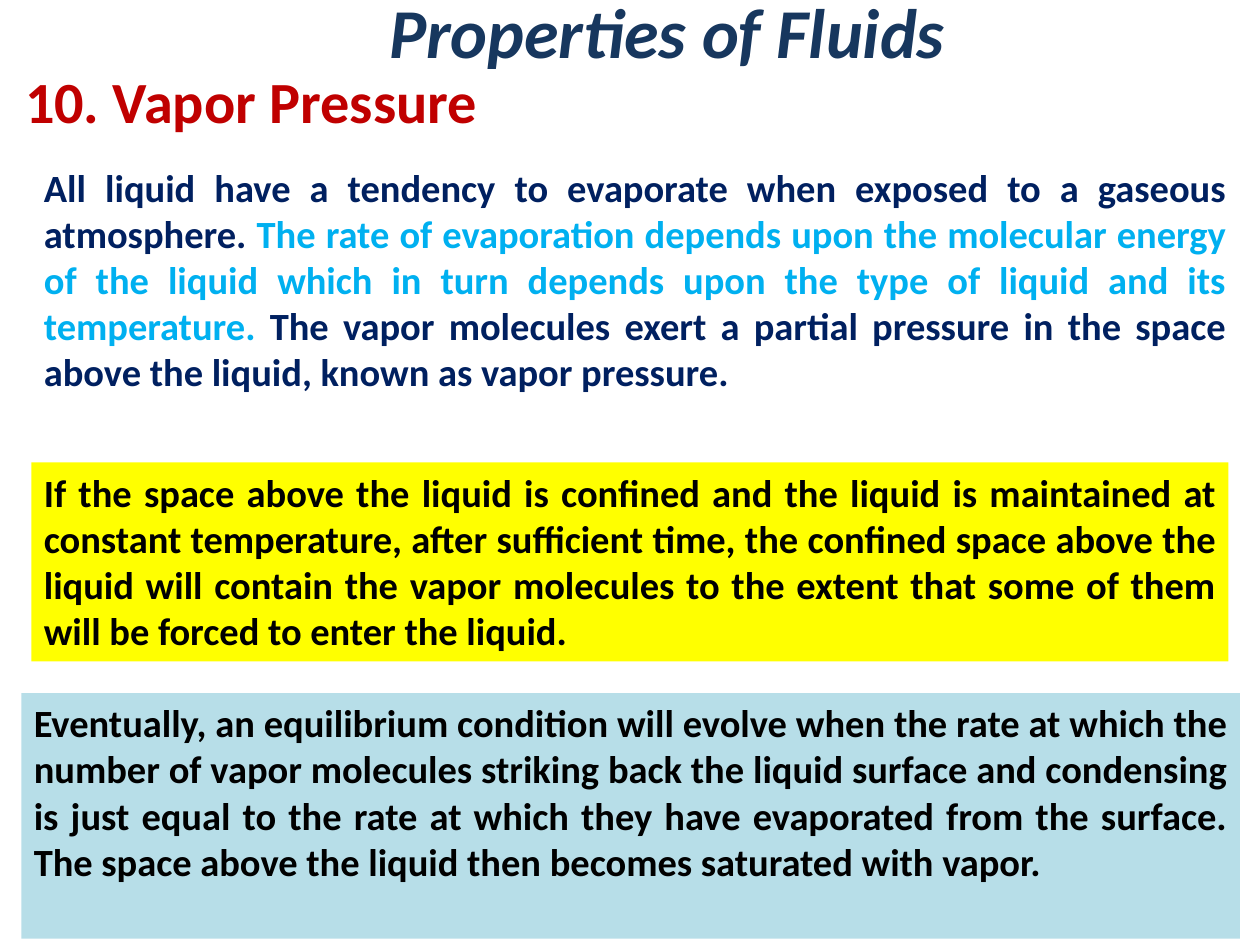
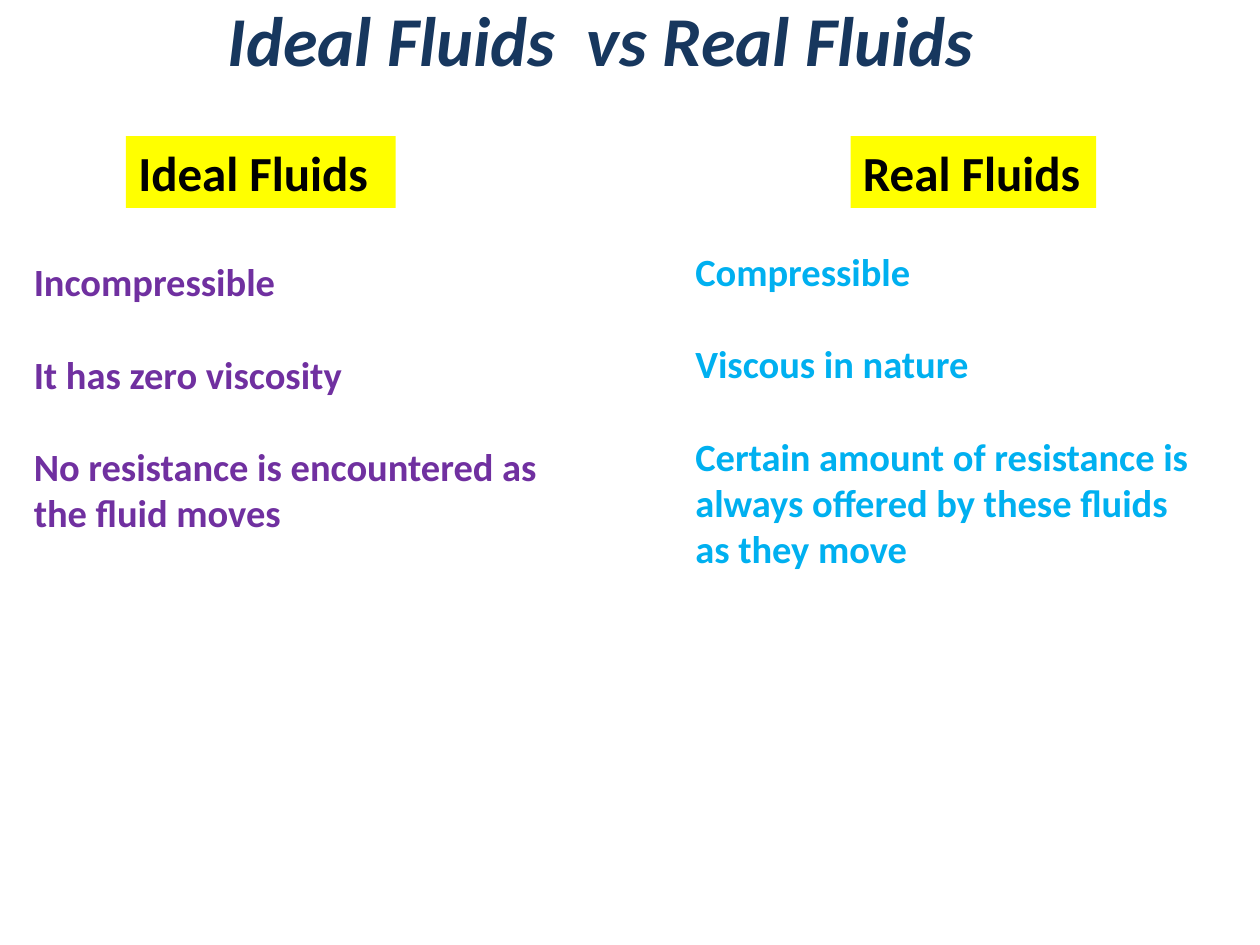
from pptx import Presentation
from pptx.dml.color import RGBColor
from pptx.enum.shapes import MSO_SHAPE
from pptx.enum.text import MSO_ANCHOR, PP_ALIGN
from pptx.util import Inches, Pt

RECT = MSO_SHAPE.RECTANGLE
TOP = MSO_ANCHOR.TOP
LEFT, JUSTIFY = PP_ALIGN.LEFT, PP_ALIGN.JUSTIFY

# Shared look
FONT = "Calibri"
BODY_SIZE = 22
POINT_GAP = 26.4
BLACK = RGBColor(0x00, 0x00, 0x00)
TITLE_BLUE = RGBColor(0x17, 0x37, 0x5E)
RED = RGBColor(0xC0, 0x00, 0x00)
NAVY = RGBColor(0x00, 0x20, 0x60)
SKY = RGBColor(0x00, 0xB0, 0xF0)
PURPLE = RGBColor(0x70, 0x30, 0xA0)
YELLOW = RGBColor(0xFF, 0xFF, 0x00)
PALE_BLUE = RGBColor(0xB7, 0xDE, 0xE8)


def write(sp, paragraphs, size=BODY_SIZE, color=BLACK, align=LEFT,
          italic=False, gap=0, wrap=True):
    """Fill a shape; each paragraph is a string or a list of (text, color)."""
    tf = sp.text_frame
    tf.word_wrap = wrap
    tf.vertical_anchor = TOP
    for i, runs in enumerate(paragraphs):
        p = tf.paragraphs[0] if i == 0 else tf.add_paragraph()
        p.alignment = align
        if i and gap:
            p.space_before = Pt(gap)
        if isinstance(runs, str):
            runs = [(runs, color)]
        for text, run_color in runs:
            r = p.add_run()
            r.text = text
            r.font.name = FONT
            r.font.size = Pt(size)
            r.font.bold = True
            r.font.italic = italic
            r.font.color.rgb = run_color


def add_text(slide, box, paragraphs, **fmt):
    sp = slide.shapes.add_textbox(*map(Inches, box))
    write(sp, paragraphs, **fmt)


def add_panel(slide, box, text, fill, **fmt):
    sp = slide.shapes.add_shape(RECT, *map(Inches, box))
    sp.shadow.inherit = False
    sp.fill.solid()
    sp.fill.fore_color.rgb = fill
    sp.line.fill.background()
    write(sp, [text], **fmt)


def add_title(slide, box, text):
    add_text(slide, box, [text], size=40, color=TITLE_BLUE, italic=True,
             wrap=False)


def add_points(slide, box, points, color):
    add_text(slide, box, points, color=color, gap=POINT_GAP)


def build_vapor_pressure(slide):
    add_title(slide, (2.99, -0.14, 5.51, 0.73), "Properties of Fluids")
    add_text(slide, (0.1, 0.47, 3.98, 0.7), ["10. Vapor Pressure"],
             size=33.3, color=RED, wrap=False)

    # Equilibrium
    add_panel(slide, (0.17, 5.5, 9.67, 1.95),
              "Eventually, an equilibrium condition will evolve when the rate "
              "at which the number of vapor molecules striking back the liquid "
              "surface and condensing is just equal to the rate at which they "
              "have evaporated from the surface. The space above the liquid "
              "then becomes saturated with vapor.",
              PALE_BLUE, align=JUSTIFY)

    # Definition
    add_text(slide, (0.25, 1.25, 9.58, 1.95), [[
        ("All liquid have a tendency to evaporate when exposed to a gaseous "
         "atmosphere. ", NAVY),
        ("The rate of evaporation depends upon the molecular energy of the "
         "liquid which in turn depends upon the type of liquid and its "
         "temperature. ", SKY),
        ("The vapor molecules exert a partial pressure in the space above the "
         "liquid, known as vapor pressure.", NAVY),
    ]], align=JUSTIFY)

    # Confined space
    add_panel(slide, (0.25, 3.67, 9.5, 1.58),
              "If the space above the liquid is confined and the liquid is "
              "maintained at constant temperature, after sufficient time, the "
              "confined space above the liquid will contain the vapor "
              "molecules to the extent that some of them will be forced to "
              "enter the liquid.",
              YELLOW, align=JUSTIFY)


def build_comparison(slide):
    add_title(slide, (1.71, -0.08, 6.21, 0.77), "Ideal Fluids  vs Real Fluids")

    # Properties of each kind
    add_points(slide, (0.17, 2, 4.5, 2.63),
               ["Incompressible", "It has zero viscosity",
                "No resistance is encountered as the fluid moves"], PURPLE)
    add_points(slide, (5.42, 1.92, 4.25, 2.69),
               ["Compressible", "Viscous in nature",
                "Certain amount of resistance is always offered by these "
                "fluids as they move"], SKY)

    # Column headings
    for left, width, heading in ((1, 2.14, "Ideal Fluids"),
                                 (6.75, 1.95, "Real Fluids")):
        add_panel(slide, (left, 1.08, width, 0.57), heading, YELLOW, size=28)


def main():
    prs = Presentation()
    prs.slide_width, prs.slide_height = Inches(10), Inches(7.5)
    blank = prs.slide_layouts[6]
    for build in (build_vapor_pressure, build_comparison):
        build(prs.slides.add_slide(blank))
    prs.save("out.pptx")


if __name__ == "__main__":
    main()
